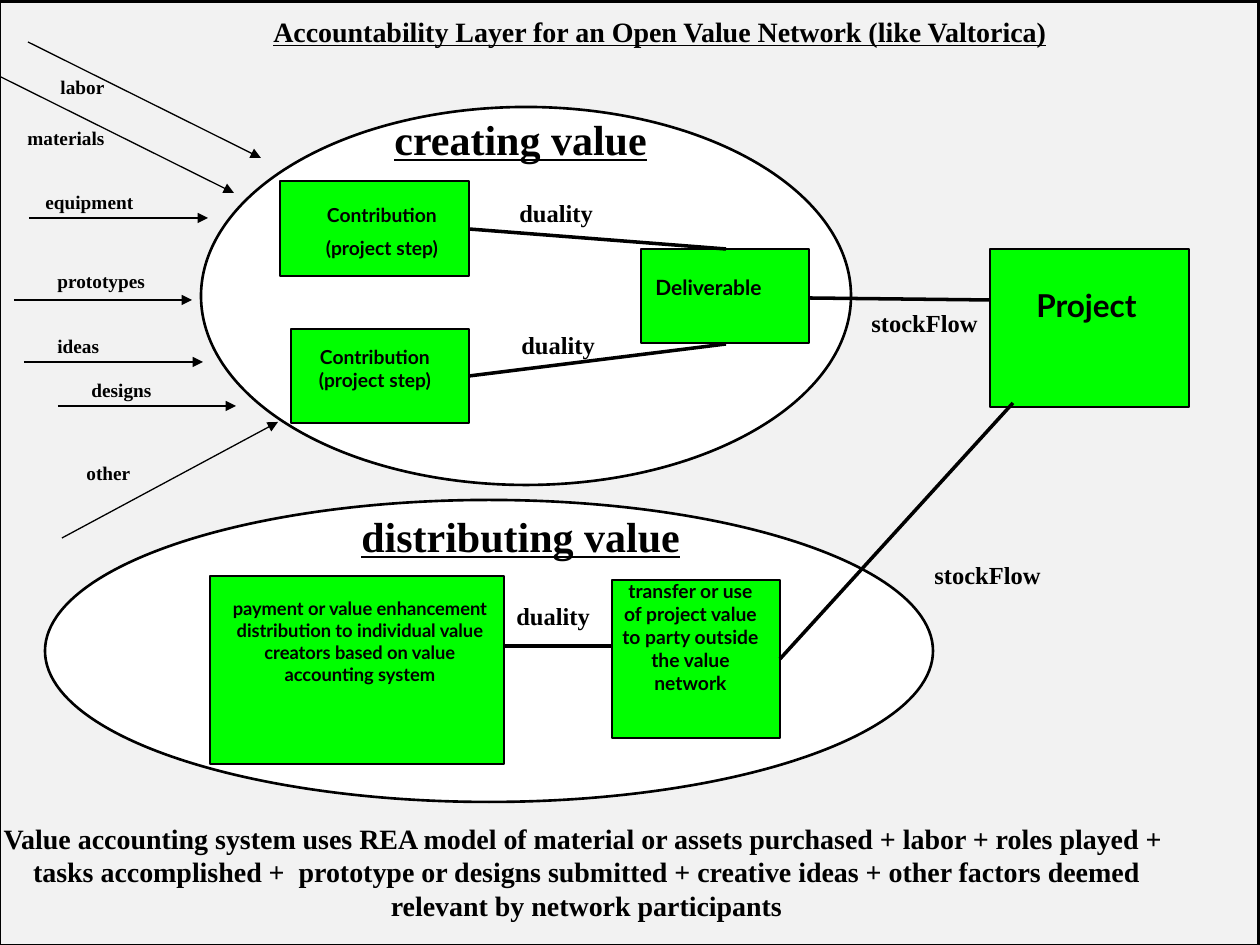
"""Build the accountability layer slide: two value ovals, their boxes, links and inflows."""
from lxml.etree import SubElement
from pptx import Presentation
from pptx.dml.color import RGBColor
from pptx.enum.shapes import MSO_CONNECTOR as Link, MSO_SHAPE as Kind
from pptx.enum.text import MSO_ANCHOR as Anchor, MSO_AUTO_SIZE as Fit, PP_ALIGN as Align
from pptx.oxml.ns import qn
from pptx.util import Emu, Pt

SCALE = 914400 / 126
BLACK = RGBColor(0, 0, 0)
WHITE = RGBColor(255, 255, 255)
GREEN = RGBColor(0, 255, 0)
GREY = RGBColor(0xF2, 0xF2, 0xF2)
SERIF, SANS = "Times New Roman", "Lato"
LEFT, MID = Align.LEFT, Align.CENTER

TITLE = "Accountability Layer for an Open Value Network (like Valtorica)"
TITLE_BOX = (89, 8, 1142, 47)

SHAPES = [
    (Kind.RECTANGLE, GREY, 2, (-1, 1, 1260, 945)),
    (Kind.OVAL, WHITE, 1.5, (201, 107, 650, 378)),
    (Kind.OVAL, WHITE, 1.5, (45, 500, 888, 302)),
    (Kind.RECTANGLE, GREEN, 0.75, (280, 181, 189, 95)),
    (Kind.RECTANGLE, GREEN, 0.75, (291, 329, 178, 94)),
    (Kind.RECTANGLE, GREEN, 1, (641, 249, 168, 94)),
    (Kind.RECTANGLE, GREEN, 1, (990, 249, 199, 158)),
    (Kind.RECTANGLE, GREEN, 1, (612, 580, 168, 158)),
    (Kind.RECTANGLE, GREEN, 0.75, (210, 576, 294, 188)),
]

LINKS = [
    (469, 229, 726, 249),
    (469, 376, 726, 344),
    (810, 298, 990, 300),
    (780, 659, 1013, 403),
    (504, 646, 612, 646),
]

FLOWS = [
    ("labor", (48, 69, 108, 35), (28, 42, 261, 158)),
    ("materials", (15, 120, 120, 35), (1, 77, 234, 193)),
    ("equipment", (33, 184, 198, 35), (29, 218, 208, 218)),
    ("prototypes", (45, 263, 130, 35), (14, 300, 192, 300)),
    ("ideas", (45, 328, 108, 35), (24, 362, 203, 362)),
    ("designs", (79, 372, 108, 35), (58, 406, 236, 406)),
    ("other", (74, 455, 108, 35), (62, 538, 278, 422)),
]

DUTY = [("duality", (x, y, 102, 42)) for x, y in ((507, 192), (509, 324), (504, 595))]
STOCK = [("stockFlow", (x, y, 135, 42)) for x, y in ((859, 302), (922, 554))]
HEADS = [
    ("creating value", (382, 107, 281, 63)),
    ("distributing value", (349, 504, 387, 63)),
]

NOTES = [
    ("Contribution\n(project step)", (294, 197, 176, 68), 11, MID),
    ("Contribution (project step)", (287, 339, 176, 59), 11, MID),
    ("Deliverable", (643, 268, 161, 38), 12, LEFT),
    ("Project", (999, 280, 175, 50), 18, MID),
    ("transfer or use of project value to party outside the value network",
     (605, 573, 171, 129), 11, MID),
    ("payment or value enhancement distribution to individual value creators "
     "based on value accounting system", (217, 591, 286, 122), 10.5, MID),
]

FOOT = ("Value accounting system uses REA model of material or assets purchased + labor "
        "+ roles played +  tasks accomplished +  prototype or designs submitted "
        "+ creative ideas + other factors deemed relevant by network participants")
FOOT_BOX = (-9, 815, 1191, 113)


def px(*nums):
    return [Emu(round(n * SCALE)) for n in nums]


def put(obj, vals):
    for key, val in vals.items():
        setattr(obj, key, val)


def fill_text(frame, text, size, face=SERIF, align=LEFT, gap=0, under=False):
    put(frame, {"text": text, "word_wrap": True, "vertical_anchor": Anchor.TOP,
                "auto_size": Fit.SHAPE_TO_FIT_TEXT})
    for para in frame.paragraphs:
        put(para, {"alignment": align, "space_before": Pt(gap)})
        for run in para.runs:
            put(run.font, {"name": face, "size": Pt(size), "bold": True, "underline": under})
            run.font.color.rgb = BLACK


def add_text(tree, text, box, size, **look):
    fill_text(tree.add_textbox(*px(*box)).text_frame, text, size, **look)


def add_box(tree, kind, fill, width, box):
    shape = tree.add_shape(kind, *px(*box))
    shape.shadow.inherit = False
    shape.fill.solid()
    shape.fill.fore_color.rgb = fill
    shape.line.color.rgb = BLACK
    shape.line.width = Pt(width)


def add_line(tree, ends, width, arrow=False):
    line = tree.add_connector(Link.STRAIGHT, *px(*ends))
    line.line.color.rgb = BLACK
    line.line.width = Pt(width)
    if arrow:
        SubElement(line.line._get_or_add_ln(), qn("a:tailEnd"), type="triangle")
    SubElement(line._element.spPr, qn("a:effectLst"))


def main():
    deck = Presentation()
    deck.slide_width, deck.slide_height = px(1260, 945)
    tree = deck.slides.add_slide(deck.slide_layouts[5]).shapes
    title = tree.title
    for shape in SHAPES:
        add_box(tree, *shape)
    for ends in LINKS:
        add_line(tree, ends, 2)
    for text, box, ends in FLOWS:
        add_line(tree, ends, 0.75, arrow=True)
        add_text(tree, text, box, 11, gap=5.5)
    for text, box in DUTY + STOCK:
        add_text(tree, text, box, 14, gap=7)
    for text, box in HEADS:
        add_text(tree, text, box, 24, under=True)
    for text, box, size, align in NOTES:
        add_text(tree, text, box, size, face=SANS, align=align, gap=size / 2)
    add_text(tree, FOOT, FOOT_BOX, 16, align=MID)
    put(title, dict(zip(("left", "top", "width", "height"), px(*TITLE_BOX))))
    fill_text(title.text_frame, TITLE, 16, align=MID, under=True)
    title._element.getparent().append(title._element)
    deck.save("out.pptx")


if __name__ == "__main__":
    main()
